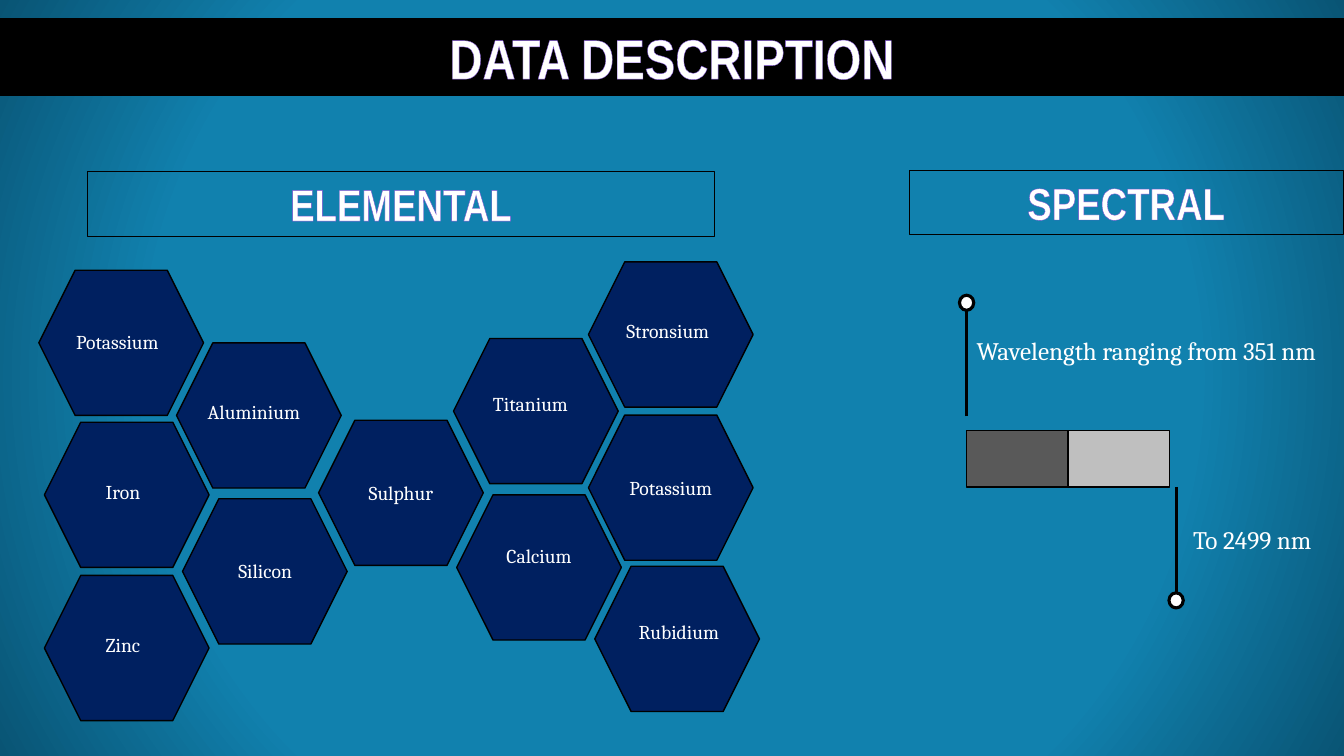
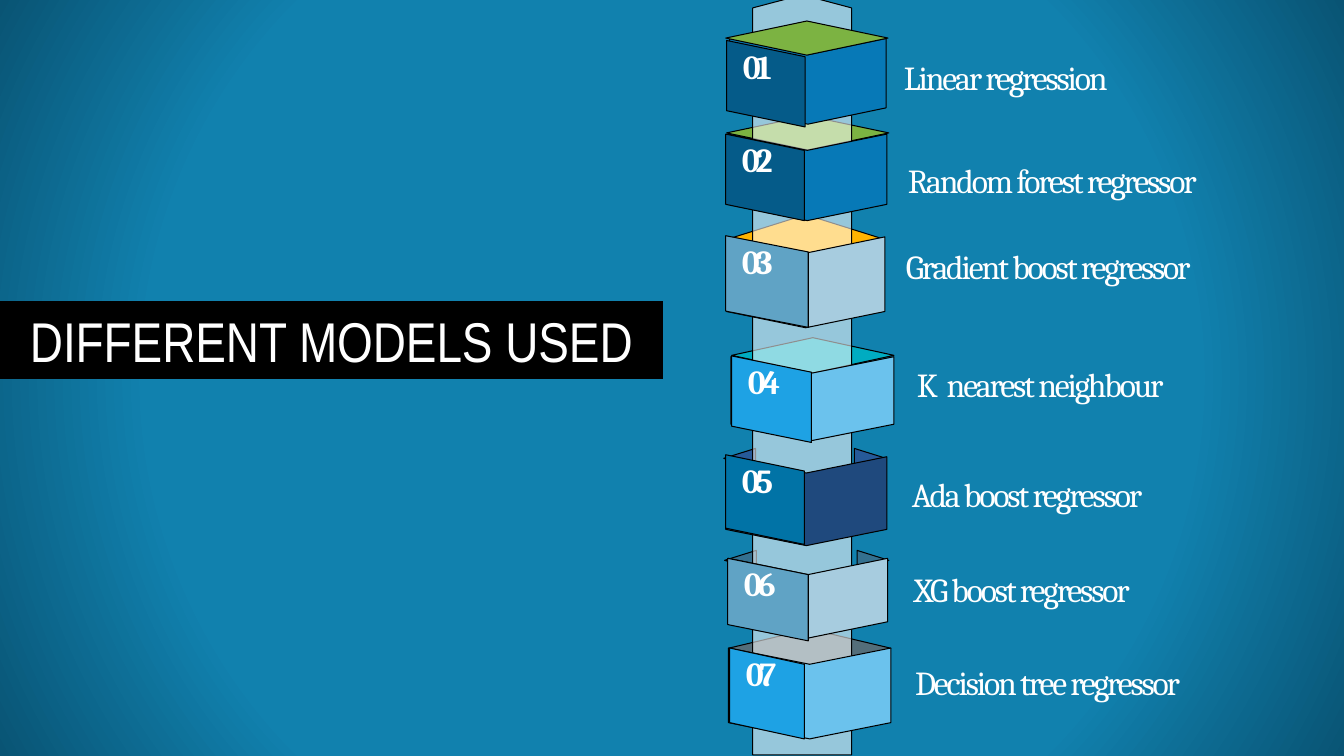
"""Build two slides: the data description and the models used."""
from lxml.etree import SubElement
from pptx import Presentation
from pptx.dml.color import RGBColor
from pptx.enum.shapes import MSO_CONNECTOR, MSO_SHAPE
from pptx.enum.text import MSO_ANCHOR, PP_ALIGN
from pptx.oxml import parse_xml
from pptx.oxml.ns import nsdecls, qn
from pptx.util import Cm, Pt

WHITE = RGBColor(0xFF, 0xFF, 0xFF)
BLACK = RGBColor(0, 0, 0)
NAVY = RGBColor(0x00, 0x20, 0x60)
DARK_GREY = RGBColor(0x59, 0x59, 0x59)
LIGHT_GREY = RGBColor(0xBF, 0xBF, 0xBF)
GREEN = RGBColor(0x7C, 0xB3, 0x42)
AMBER = RGBColor(0xFF, 0xB3, 0x00)
CYAN = RGBColor(0x00, 0xAC, 0xC1)
SLATE = RGBColor(0x54, 0x6E, 0x7A)
TEAL = RGBColor(0x34, 0x70, 0x8F)
ROYAL = RGBColor(0x26, 0x5A, 0x99)
OCEAN = RGBColor(0x05, 0x5B, 0x89)
BLUE = RGBColor(0x07, 0x79, 0xB7)
STEEL = RGBColor(0x60, 0xA3, 0xC5)
MIST = RGBColor(0xA7, 0xCC, 0xDF)
AZURE = RGBColor(0x1E, 0xA2, 0xE4)
SKY = RGBColor(0x6B, 0xC2, 0xED)
CERULEAN = RGBColor(0x01, 0x73, 0xA6)
INDIGO = RGBColor(0x1F, 0x49, 0x7D)
PURPLE = RGBColor(0x79, 0x4C, 0xCF)
BACK = RGBColor(0x11, 0x81, 0xAE)
BACK_EDGE = RGBColor(0x09, 0x54, 0x74)
HEAD_FONT, BODY_FONT = "Arial Narrow", "Cambria"
FOLD = 0.41


class Deck:
    """Hold the style and the current slide."""

    def __init__(self):
        """Open a widescreen deck with the shared background."""
        self.prs = Presentation()
        self.prs.slide_width, self.prs.slide_height = Cm(33.87), Cm(19.05)
        master = self.prs.slide_master
        master.background.fill.solid()
        solid = master.element.cSld.find(".//" + qn("a:solidFill"))
        stops = "".join(
            f'<a:gs pos="{pos}"><a:srgbClr val="{color}"/></a:gs>'
            for pos, color in ((0, BACK), (68000, BACK), (100000, BACK_EDGE)))
        solid.getparent().replace(solid, parse_xml(
            f'<a:gradFill {nsdecls("a")} rotWithShape="1"><a:gsLst>{stops}</a:gsLst>'
            '<a:path path="circle"><a:fillToRect l="50000" t="50000" r="50000" b="50000"/>'
            '</a:path></a:gradFill>'))

    def add_slide(self):
        """Start a new blank slide."""
        self.s = self.prs.slides.add_slide(self.prs.slide_layouts[6])

    def paint(self, sp, fill, width):
        """Set fill and black outline, either of which may be None."""
        sp.shadow.inherit = False
        if fill is None:
            sp.fill.background()
        else:
            sp.fill.solid()
            sp.fill.fore_color.rgb = fill
        if width is None:
            sp.line.fill.background()
        else:
            sp.line.color.rgb = BLACK
            sp.line.width = Pt(width)
        return sp

    def set_text(self, sp, text, size, font=BODY_FONT, bold=False, align=PP_ALIGN.LEFT,
                 anchor=MSO_ANCHOR.TOP, wrap=True, spacing=0, outline=False):
        """Put one white line of text into a shape."""
        tf = sp.text_frame
        tf.text = text
        tf.word_wrap = wrap
        tf.vertical_anchor = anchor
        p = tf.paragraphs[0]
        p.alignment = align
        r = p.runs[0]
        r.font.size, r.font.name, r.font.bold = Pt(size), font, bold
        r.font.color.rgb = WHITE
        rPr = r.font._element
        if spacing:
            rPr.set("spc", str(int(spacing * 100)))
        if outline:
            rPr.insert(0, parse_xml(
                f'<a:ln {nsdecls("a")} w="3175"><a:solidFill>'
                f'<a:srgbClr val="{PURPLE}"/></a:solidFill></a:ln>'))
        return tf

    def shape(self, kind, x, y, w, h, fill=None, width=None):
        """Add a preset shape."""
        sp = self.s.shapes.add_shape(kind, Cm(x), Cm(y), Cm(w), Cm(h))
        return self.paint(sp, fill, width)

    def label(self, text, x, y, w, h, size, **style):
        """Add a text box."""
        sp = self.s.shapes.add_textbox(Cm(x), Cm(y), Cm(w), Cm(h))
        self.set_text(sp, text, size, **style)

    def heading(self, text, x, y, w, bold=True):
        """Add a black title band."""
        sp = self.shape(MSO_SHAPE.RECTANGLE, x, y, w, 1.96, BLACK)
        self.set_text(sp, text, 40, HEAD_FONT, bold, PP_ALIGN.CENTER, outline=bold)

    def subheading(self, text, x, y, w):
        """Add an outlined section title."""
        sp = self.shape(MSO_SHAPE.RECTANGLE, x, y, w, 1.63, width=0.75)
        self.set_text(sp, text, 32, HEAD_FONT, True, PP_ALIGN.CENTER, outline=True)

    def hexagon(self, x, y):
        """Add an element tile."""
        return self.shape(MSO_SHAPE.HEXAGON, x, y, 4.15, 3.66, NAVY, 1)

    def pin(self, x, base, tip):
        """Add a vertical line with a round head at its tip."""
        sp = self.s.shapes.add_connector(
            MSO_CONNECTOR.STRAIGHT, Cm(x), Cm(base), Cm(x), Cm(tip))
        sp.line.color.rgb = BLACK
        sp.line.width = Pt(2.25)
        SubElement(sp._element.spPr, qn("a:effectLst"))
        top = tip if tip < base else tip - 0.38
        self.shape(MSO_SHAPE.OVAL, x - 0.18, top, 0.36, 0.38, WHITE, 2.25)

    def outline(self, fill, *contours):
        """Add a freeform made of closed contours."""
        contours = [[(Cm(x), Cm(y)) for x, y in points] for points in contours]
        builder = self.s.shapes.build_freeform(*contours[0][0])
        for i, points in enumerate(contours):
            if i:
                builder.move_to(*points[0])
            builder.add_line_segments(points[1:], close=True)
        return self.paint(builder.convert_to_shape(), fill, 0.75)

    def lid(self, fill, x, y, w, h):
        """Add the diamond top of a cube."""
        mid, half = x + w / 2, y + h / 2
        self.outline(fill, [(x + w, half), (mid, y), (x, half), (mid, y + h)])

    def wings(self, fill, x, y, w, h):
        """Add the two visible corners of a hidden cube top."""
        right, half = x + w, y + h / 2
        self.outline(fill, [(x + 0.8, y), (x, half), (x + 0.8, y + h)],
                     [(right - 0.8, y), (right - 0.8, y + h), (right, half)])

    def cube(self, number, left_fill, right_fill, left, right):
        """Add the folded back face and the numbered left face of a cube."""
        x, y, w, h = right
        mid, end, low = x + w / 2, x + w, y + h
        self.outline(right_fill, [(x, low - FOLD), (mid, low), (end, low - FOLD),
                                  (end, y), (mid, y + FOLD), (x, y)])
        x, y, w, h = left
        end, low = x + w, y + h
        sp = self.outline(left_fill, [(x, y), (x, low - FOLD), (end, low), (end, y + FOLD)])
        tf = self.set_text(sp, f"{number:02}", 24, bold=True, spacing=-3)
        tf.margin_left = Cm(0.41)


HEXAGONS = [
    (8.03, 10.59, "Sulphur", 0.13), (14.83, 10.46, "Potassium", 0.13),
    (11.51, 12.47, "Calcium", 0.73), (14.83, 6.6, None, 0), (14.99, 14.27, None, 0),
    (11.43, 8.53, None, 0), (1.12, 14.5, None, 0), (0.98, 6.81, None, 0),
    (1.12, 10.64, None, 0), (4.45, 8.64, None, 0), (4.6, 12.57, None, 0),
]
ELEMENTS = [
    ("Titanium", 12.14, 9.75, 2.46), ("Rubidium", 15.8, 15.49, 2.62),
    ("Stronsium", 15.47, 7.9, 2.72), ("Aluminium", 4.95, 9.96, 2.9),
    ("Silicon", 5.72, 13.97, 1.93), ("Potassium", 1.6, 8.18, 2.72),
    ("Iron", 2.39, 11.96, 1.42), ("Zinc", 2.39, 15.82, 1.42),
]
CUBES = [
    (OCEAN, BLUE, (18.31, 1.02, 1.98, 2.18), (18.39, 0.97, 3.94, 2.16)),
    (OCEAN, BLUE, (18.29, 3.38, 1.98, 2.18), (18.34, 3.38, 4.01, 2.18)),
    (STEEL, MIST, (18.29, 5.94, 2.08, 2.31), (18.31, 5.97, 3.99, 2.29)),
    (AZURE, SKY, (18.44, 8.97, 2.01, 2.18), (18.42, 8.99, 4.11, 2.11)),
    (CERULEAN, INDIGO, (18.29, 11.46, 1.98, 2.26), (18.29, 11.51, 4.06, 2.24)),
    (STEEL, MIST, (18.34, 14.07, 2.03, 2.08), (18.36, 14.07, 4.01, 2.01)),
    (AZURE, SKY, (18.39, 16.33, 1.88, 2.29), (18.36, 16.33, 4.09, 2.29)),
]
LIDS = [
    (AMBER, 18.36, 5.41, 3.89, 1.22), (CYAN, 18.44, 8.51, 4.09, 0.89),
    (SLATE, 18.36, 15.85, 4.09, 0.97), (GREEN, 18.31, 2.92, 4.09, 0.86),
]
MODELS = [
    ("Linear regression", 22.53, 1.3), ("Random forest regressor", 22.63, 3.91),
    ("Gradient boost regressor", 22.58, 6.07), ("K  nearest neighbour", 22.86, 9.04),
    ("Ada boost regressor", 22.73, 11.81), ("XG boost regressor", 22.78, 14.22),
    ("Decision tree regressor", 22.81, 16.56),
]


def data_description(deck):
    """Build the slide on elemental and spectral data."""
    deck.add_slide()
    for x, y, name, bottom in HEXAGONS:
        sp = deck.hexagon(x, y)
        if name:
            tf = deck.set_text(sp, name, 14, align=PP_ALIGN.CENTER, anchor=MSO_ANCHOR.MIDDLE)
            tf.margin_bottom = Cm(bottom)
    for name, x, y, w in ELEMENTS:
        deck.label(name, x, y, w, 0.86, 14, align=PP_ALIGN.CENTER, wrap=False)
    for i, fill in enumerate((DARK_GREY, LIGHT_GREY)):
        deck.shape(MSO_SHAPE.RECTANGLE, 24.36 + 2.56 * i, 10.85, 2.56, 1.42, fill, 1)
    deck.pin(24.36, 10.49, 7.44)
    deck.pin(29.64, 12.27, 15.32)
    deck.label("Wavelength ranging from 351 nm", 24.36, 8.33, 10.92, 1.02, 18)
    deck.label("To 2499 nm", 29.82, 13.08, 6.32, 1.02, 18)
    deck.subheading("SPECTRAL", 22.91, 4.29, 10.95)
    deck.subheading("ELEMENTAL", 2.21, 4.32, 15.8)
    deck.heading("DATA DESCRIPTION", 0, 0.46, 33.87)


def models_used(deck):
    """Build the slide with the stack of models."""
    deck.add_slide()
    for lid in LIDS:
        deck.lid(*lid)
    deck.wings(TEAL, 18.26, 13.87, 4.14, 0.5)
    deck.wings(ROYAL, 18.24, 11.3, 4.09, 0.5)
    column = deck.outline(WHITE, [(18.97, 0.2), (20.22, -0.13), (21.46, 0.2),
                                  (21.46, 19.02), (18.97, 19.02)])
    color = column._element.spPr.find(qn("a:solidFill"))[0]
    SubElement(color, qn("a:alpha"), val="56000")
    for number, cube in enumerate(CUBES, 1):
        deck.cube(number, *cube)
    deck.lid(GREEN, 18.29, 0.53, 4.09, 0.86)
    for name, x, y in MODELS:
        deck.label(name, x, y, 9.93, 1.27, 24, spacing=-1.5)
    deck.heading("DIFFERENT MODELS USED", 0, 7.59, 16.71, bold=False)


deck = Deck()
data_description(deck)
models_used(deck)
deck.prs.save("out.pptx")
